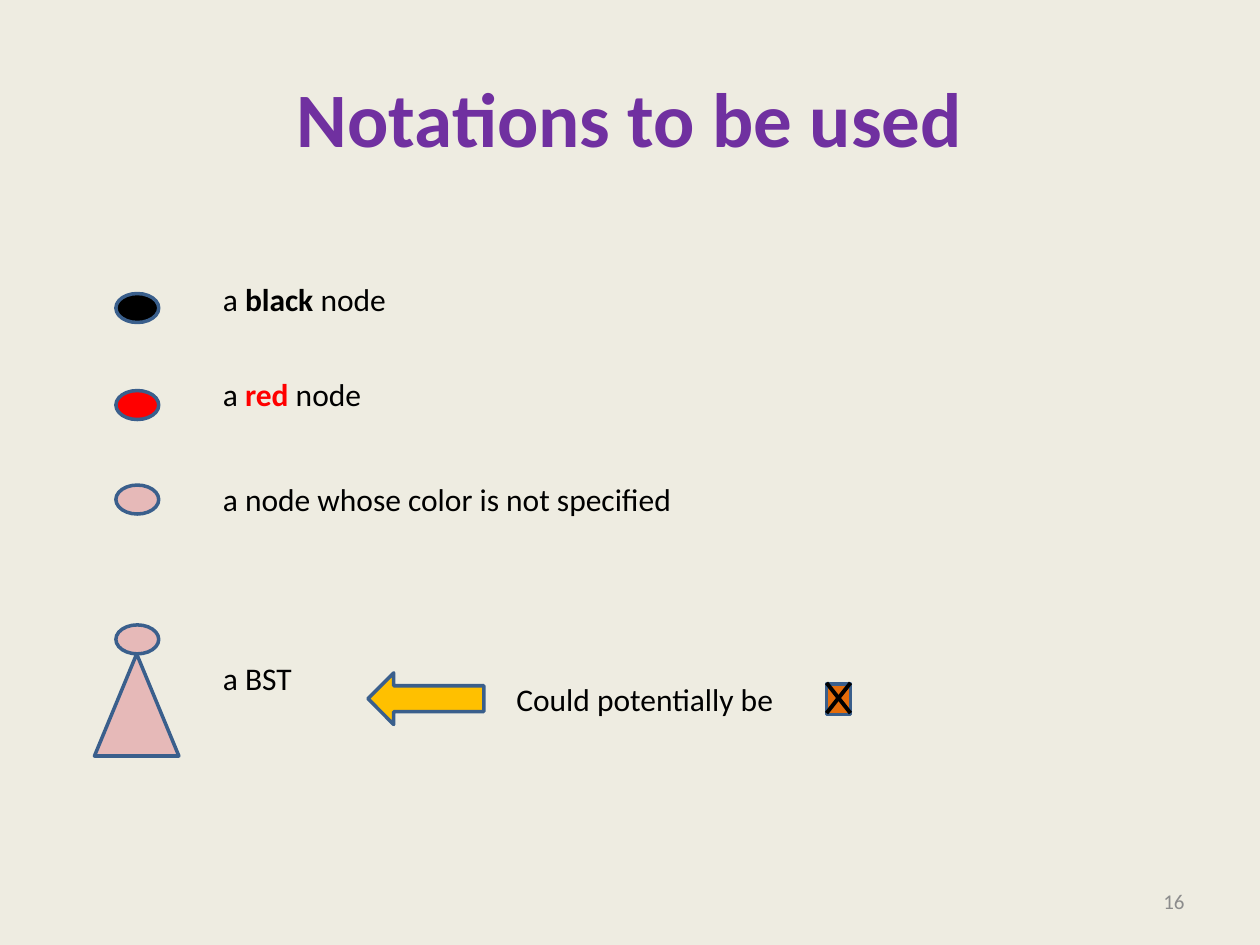
from dataclasses import dataclass

from lxml.etree import SubElement
from pptx import Presentation
from pptx.dml.color import RGBColor
from pptx.enum.shapes import MSO_CONNECTOR, MSO_SHAPE
from pptx.enum.text import MSO_ANCHOR, MSO_AUTO_SIZE, PP_ALIGN
from pptx.oxml.ns import qn
from pptx.slide import Slide
from pptx.text.text import _Paragraph as Paragraph
from pptx.util import Inches, Pt

BLACK = "000000"
RED = "FF0000"
PINK = "E6B9B8"
OUTLINE = "3A5F8C"


@dataclass(frozen=True)
class Span:
    text: str
    color: str = BLACK
    bold: bool = False
    size: float = 18


@dataclass(frozen=True)
class Label:
    left: float
    top: float
    width: float
    spans: tuple[Span, ...]


@dataclass(frozen=True)
class Symbol:
    kind: MSO_SHAPE
    left: float
    top: float
    width: float
    height: float
    fill: str


def node(top: float, fill: str) -> Symbol:
    return Symbol(MSO_SHAPE.OVAL, 0.92, top, 0.34, 0.23, fill)


SYMBOLS = (
    Symbol(MSO_SHAPE.ISOSCELES_TRIANGLE, 0.75, 5.19, 0.67, 0.81, PINK),
    node(4.96, PINK),
    node(2.33, BLACK),
    node(3.1, RED),
    node(3.85, PINK),
    Symbol(MSO_SHAPE.RECTANGLE, 6.56, 5.43, 0.19, 0.24, "E46C0A"),
    Symbol(MSO_SHAPE.LEFT_ARROW, 2.92, 5.34, 0.92, 0.41, "FFC000"),
)

LABELS = (
    Label(1.67, 2.17, 1.5, (Span("a "), Span("black", bold=True), Span(" node"))),
    Label(1.67, 2.93, 1.31, (Span("a "), Span("red", RED, True), Span(" node"))),
    Label(1.67, 3.76, 3.81, (Span("a node whose color is not specified"),)),
    Label(1.67, 5.18, 0.81, (Span("a BST"),)),
    Label(4, 5.35, 2.33, (Span("Could potentially be"),)),
)


def rgb(color: str) -> RGBColor:
    return RGBColor.from_string(color)


def add_spans(para: Paragraph, spans: tuple[Span, ...]) -> None:
    for span in spans:
        run = para.add_run()
        run.text = span.text
        run.font.name = "Calibri"
        run.font.size = Pt(span.size)
        run.font.bold = span.bold
        run.font.color.rgb = rgb(span.color)


def add_title(page: Slide) -> None:
    title = page.shapes.title
    title.left, title.top = Inches(0.5), Inches(0.3)
    title.width, title.height = Inches(9), Inches(1.25)
    title.text_frame.vertical_anchor = MSO_ANCHOR.MIDDLE
    para = title.text_frame.paragraphs[0]
    para.alignment = PP_ALIGN.CENTER
    add_spans(para, (Span("Notations to be used", "7030A0", True, 44),))


def add_page_number(page: Slide) -> None:
    box = page.shapes.add_textbox(Inches(7.17), Inches(6.95), Inches(2.33), Inches(0.4))
    box.text_frame.word_wrap = True
    box.text_frame.vertical_anchor = MSO_ANCHOR.MIDDLE
    para = box.text_frame.paragraphs[0]
    para.alignment = PP_ALIGN.RIGHT
    add_spans(para, (Span("16", "8C8C8C", size=12),))


def add_label(page: Slide, label: Label) -> None:
    box = page.shapes.add_textbox(
        Inches(label.left), Inches(label.top), Inches(label.width), Inches(0.4)
    )
    box.text_frame.word_wrap = False
    box.text_frame.auto_size = MSO_AUTO_SIZE.SHAPE_TO_FIT_TEXT
    add_spans(box.text_frame.paragraphs[0], label.spans)


def add_symbol(page: Slide, symbol: Symbol) -> None:
    shape = page.shapes.add_shape(
        symbol.kind,
        Inches(symbol.left),
        Inches(symbol.top),
        Inches(symbol.width),
        Inches(symbol.height),
    )
    shape.shadow.inherit = False
    shape.fill.solid()
    shape.fill.fore_color.rgb = rgb(symbol.fill)
    shape.line.color.rgb = rgb(OUTLINE)
    shape.line.width = Pt(2)


def add_cross_stroke(page: Slide, start: float, end: float) -> None:
    stroke = page.shapes.add_connector(
        MSO_CONNECTOR.STRAIGHT, Inches(start), Inches(5.42), Inches(end), Inches(5.66)
    )
    stroke.line.color.rgb = rgb(BLACK)
    stroke.line.width = Pt(2.25)
    SubElement(stroke._element.spPr, qn("a:effectLst"))


def main() -> None:
    deck = Presentation()
    deck.slide_width, deck.slide_height = Inches(10), Inches(7.5)
    page = deck.slides.add_slide(deck.slide_layouts[5])
    page.background.fill.solid()
    page.background.fill.fore_color.rgb = rgb("EEECE1")
    add_title(page)
    add_page_number(page)
    for symbol in SYMBOLS:
        add_symbol(page, symbol)
    for start, end in ((6.75, 6.56), (6.56, 6.75)):
        add_cross_stroke(page, start, end)
    for label in LABELS:
        add_label(page, label)
    deck.save("out.pptx")


if __name__ == "__main__":
    main()
